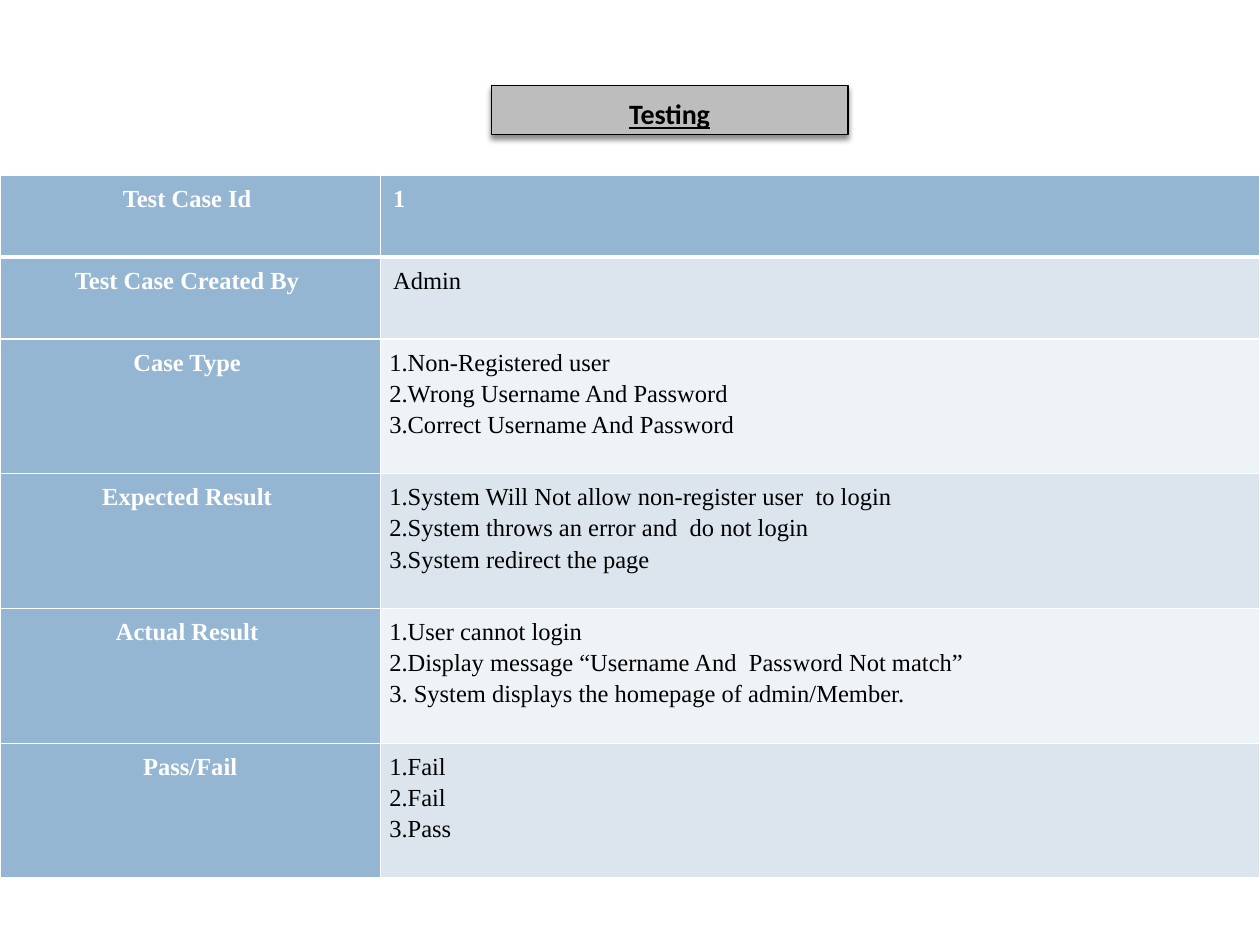
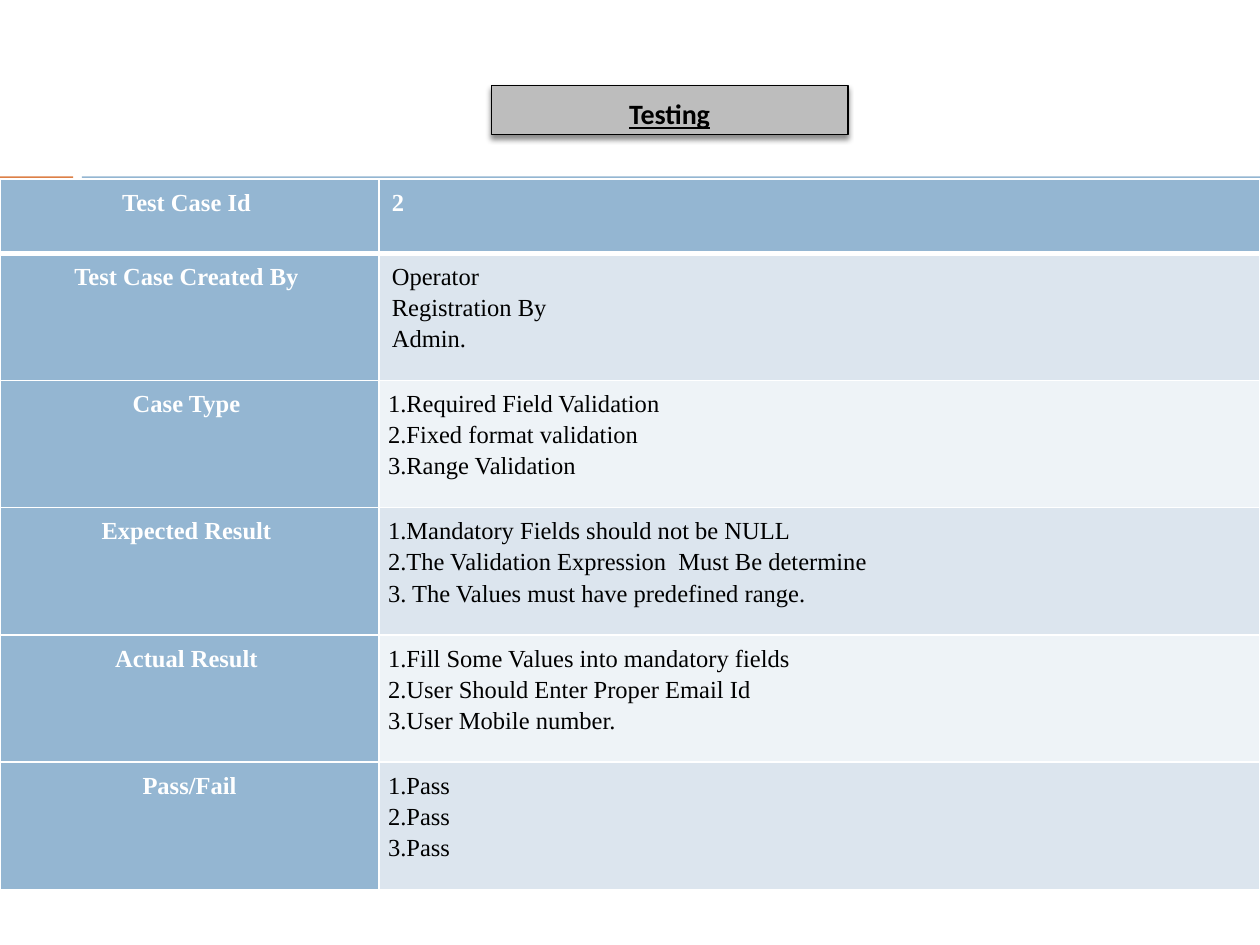
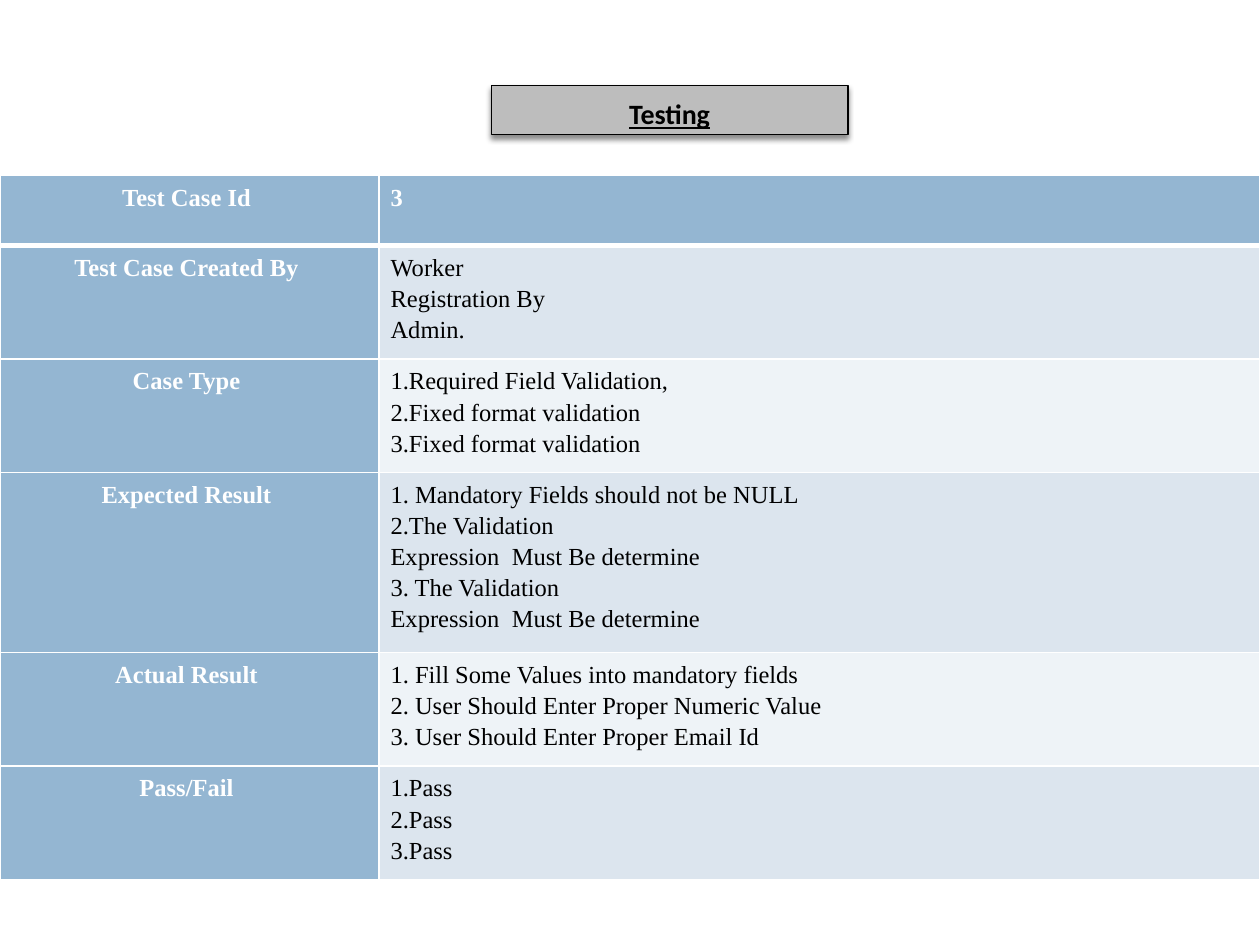
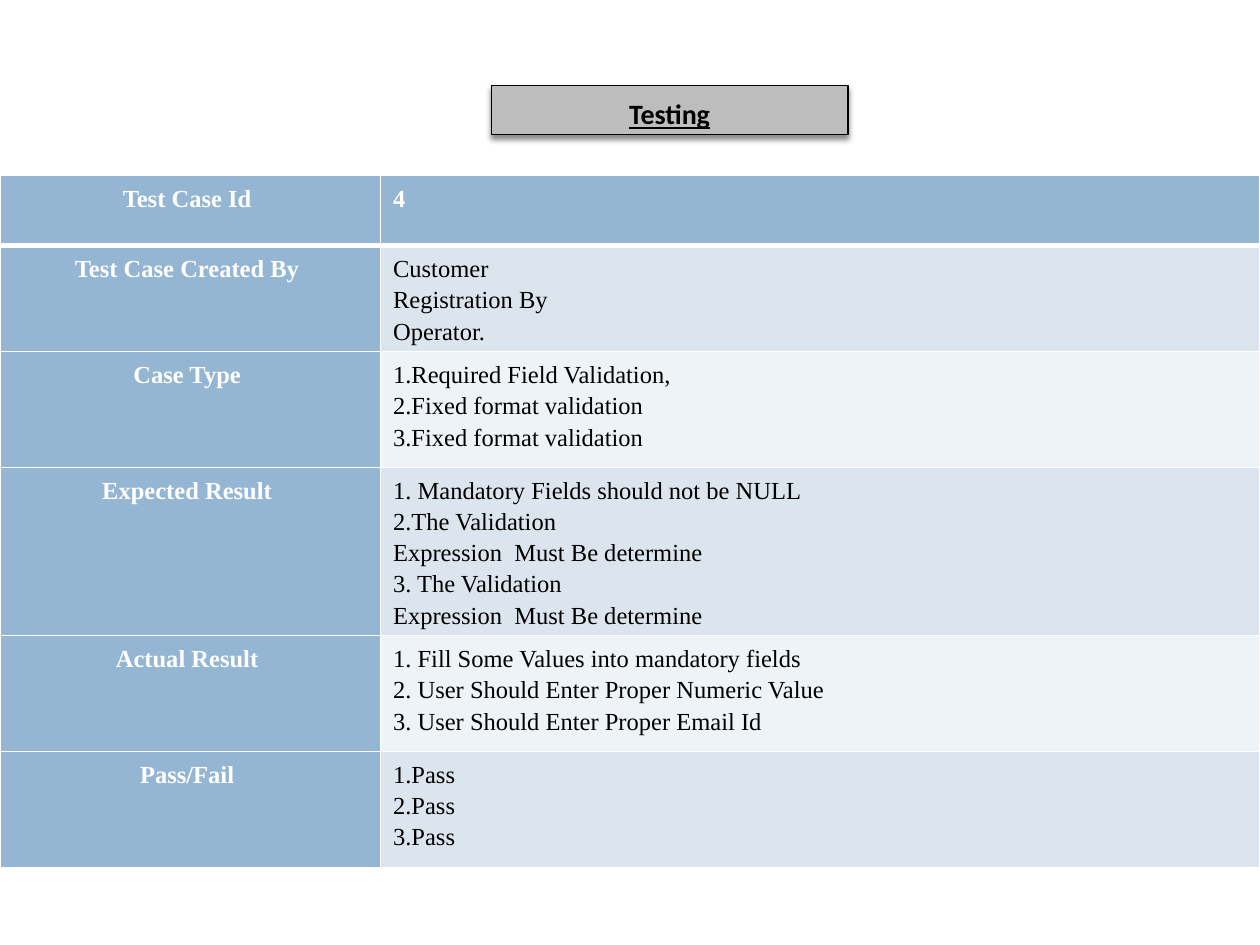
from lxml.etree import SubElement
from pptx import Presentation
from pptx.dml.color import RGBColor
from pptx.enum.shapes import MSO_SHAPE
from pptx.enum.text import MSO_ANCHOR, MSO_AUTO_SIZE, PP_ALIGN
from pptx.oxml.ns import qn
from pptx.util import Inches, Pt

COLORS = {
    "label": "94B6D2", "odd row": "DCE5EE", "even row": "EEF3F7",
    "accent": "DD8047", "title fill": "BDBDBD", "black": "000000", "white": "FFFFFF",
}
TITLE = "Testing"
TITLE_BOX = (3.9, 0.68, 2.83, 0.39)
BANDS = [("accent", 0, 0.58), ("label", 0.65, 9.35)]  # colour, left, width
BAND_TOP, BAND_HEIGHT = 1.4, 0.25
SLIDE_WIDTH, SLIDE_HEIGHT = 10, 7.5

LABELS = ["Test Case Id ", "Test Case Created By ", "Case Type ",
          "Expected Result ", "Actual Result "]
FORMAT_TYPES = ["1.Required Field Validation,", "2.Fixed format validation",
                "3.Fixed format validation"]
FORMAT_EXPECTED = ["1. Mandatory Fields should not be NULL", "2.The Validation",
                   "Expression  Must Be determine", "3. The Validation",
                   "Expression  Must Be determine"]
FORMAT_ACTUAL = ["1. Fill Some Values into mandatory fields",
                 "2. User Should Enter Proper Numeric Value",
                 "3. User Should Enter Proper Email Id"]
ALL_PASS = ["1.Pass", "2.Pass", "3.Pass"]

# side: left and right cell margin; list_side: the same for the numbered lists
TEST_CASES = [
    {"top": 1.39, "label_width": 3.02, "rows": [0.65] * 2 + [1.07] * 4,
     "side": 0.1, "list_side": 0.07, "vertical": 0.05, "last_label": "Pass/Fail",
     "values": [
         ["1"],
         ["Admin"],
         ["1.Non-Registered user", "2.Wrong Username And Password",
          "3.Correct Username And Password"],
         ["1.System Will Not allow non-register user  to login",
          "2.System throws an error and  do not login", "3.System redirect the page"],
         ["1.User cannot login", "2.Display message “Username And  Password Not match”",
          "3. System displays the homepage of admin/Member."],
         ["1.Fail", "2.Fail", "3.Pass"]]},
    {"top": 1.42, "label_width": 3.01, "rows": [0.59] + [1.01] * 5,
     "side": 0.1, "list_side": 0.07, "vertical": 0.05, "last_label": "Pass/Fail",
     "values": [
         ["2"],
         ["Operator", "Registration By", "Admin."],
         ["1.Required Field Validation", "2.Fixed format validation", "3.Range Validation"],
         ["1.Mandatory Fields should not be NULL",
          "2.The Validation Expression  Must Be determine",
          "3. The Values must have predefined range."],
         ["1.Fill Some Values into mandatory fields",
          "2.User Should Enter Proper Email Id", "3.User Mobile number."],
         ALL_PASS]},
    {"top": 1.39, "label_width": 3.01, "rows": [0.56, 0.9, 0.9, 1.43, 0.9, 0.9],
     "side": 0.09, "list_side": 0.09, "vertical": 0.04, "last_label": "Pass/Fail ",
     "values": [["3"], ["Worker", "Registration By", "Admin."],
                FORMAT_TYPES, FORMAT_EXPECTED, FORMAT_ACTUAL, ALL_PASS]},
    {"top": 1.39, "label_width": 3.02, "rows": [0.56, 0.81, 0.92, 1.29, 0.92, 0.92],
     "side": 0.1, "list_side": 0.1, "vertical": 0.05, "last_label": "Pass/Fail ",
     "values": [["4"], ["Customer", "Registration By", "Operator."],
                FORMAT_TYPES, FORMAT_EXPECTED, FORMAT_ACTUAL, ALL_PASS]},
]


def rgb(name):
    return RGBColor.from_string(COLORS[name])


def fill_with(part, color):
    part.fill.solid()
    part.fill.fore_color.rgb = rgb(color)


def write(text_frame, lines, color="black", size=14, font="Times New Roman",
          bold=False, underline=None, align=PP_ALIGN.LEFT, space_after=0):
    for index, line in enumerate(lines):
        paragraph = text_frame.paragraphs[0] if index == 0 else text_frame.add_paragraph()
        paragraph.alignment = align
        paragraph.line_spacing = 1.15
        paragraph.space_before = Pt(0)
        paragraph.space_after = Pt(space_after)
        run = paragraph.add_run()
        run.text = line
        run.font.name = font
        run.font.size = Pt(size)
        run.font.bold = bold
        run.font.underline = underline
        run.font.color.rgb = rgb(color)


def add_bands(slide, layout):
    """Draw the two bands and hand them to the layout, so every slide shows them."""
    for color, left, width in BANDS:
        band = slide.shapes.add_shape(MSO_SHAPE.RECTANGLE, Inches(left), Inches(BAND_TOP),
                                      Inches(width), Inches(BAND_HEIGHT))
        band.shadow.inherit = False
        fill_with(band, color)
        band.line.fill.background()
        layout.shapes.element.append(band.element)


def set_title(slide):
    title = slide.shapes.title
    title.left, title.top, title.width, title.height = map(Inches, TITLE_BOX)
    fill_with(title, "title fill")
    title.line.color.rgb = rgb("black")
    title.line.width = Pt(0.79)
    title.shadow.inherit = False
    effects = title.element.spPr.find(qn("a:effectLst"))
    shadow = SubElement(effects, qn("a:outerShdw"), blurRad=str(Pt(3)), dist=str(Pt(2.4)),
                        dir="5400000", rotWithShape="0")
    color = SubElement(shadow, qn("a:srgbClr"), val=COLORS["black"])
    SubElement(color, qn("a:alpha"), val="45000")
    frame = title.text_frame
    frame.auto_size = MSO_AUTO_SIZE.NONE
    frame.vertical_anchor = MSO_ANCHOR.TOP
    write(frame, [TITLE], size=16, font="Calibri", bold=True, underline=True,
          align=PP_ALIGN.CENTER, space_after=10)


def set_borders(cell, row):
    """White lines, thicker between the header row and the row below it."""
    widths = {"L": 1, "R": 1, "T": 3 if row == 1 else 1, "B": 3 if row == 0 else 1}
    properties = cell._tc.get_or_add_tcPr()
    for side, width in widths.items():
        line = SubElement(properties, qn(f"a:ln{side}"), w=str(Pt(width)))
        fill = SubElement(line, qn("a:solidFill"))
        SubElement(fill, qn("a:srgbClr"), val=COLORS["white"])


def format_cell(cell, row, fill, side, vertical):
    set_borders(cell, row)
    fill_with(cell, fill)
    cell.margin_left = cell.margin_right = Inches(side)
    cell.margin_top = cell.margin_bottom = Inches(vertical)


def add_test_case(slide, case):
    labels = LABELS + [case["last_label"]]
    table = slide.shapes.add_table(len(labels), 2, 0, Inches(case["top"]), Inches(SLIDE_WIDTH),
                                   Inches(sum(case["rows"]))).table
    table.columns[0].width = Inches(case["label_width"])
    table.columns[1].width = Inches(SLIDE_WIDTH - case["label_width"])
    for row, (label, lines, height) in enumerate(zip(labels, case["values"], case["rows"])):
        table.rows[row].height = Inches(height)
        header = row == 0
        label_cell, value_cell = table.cell(row, 0), table.cell(row, 1)
        format_cell(label_cell, row, "label", case["side"], case["vertical"])
        write(label_cell.text_frame, [label], color="white", bold=True, align=PP_ALIGN.CENTER)
        value_fill = "label" if header else "odd row" if row % 2 else "even row"
        value_side = case["side"] if row < 2 else case["list_side"]
        format_cell(value_cell, row, value_fill, value_side, case["vertical"])
        write(value_cell.text_frame, lines, color="white" if header else "black", bold=header)


def main():
    presentation = Presentation()
    presentation.slide_width = Inches(SLIDE_WIDTH)
    presentation.slide_height = Inches(SLIDE_HEIGHT)
    layout = presentation.slide_layouts.get_by_name("Title Only")
    for number, case in enumerate(TEST_CASES):
        slide = presentation.slides.add_slide(layout)
        if number == 0:
            add_bands(slide, layout)
        set_title(slide)
        add_test_case(slide, case)
    presentation.save("out.pptx")


if __name__ == "__main__":
    main()
